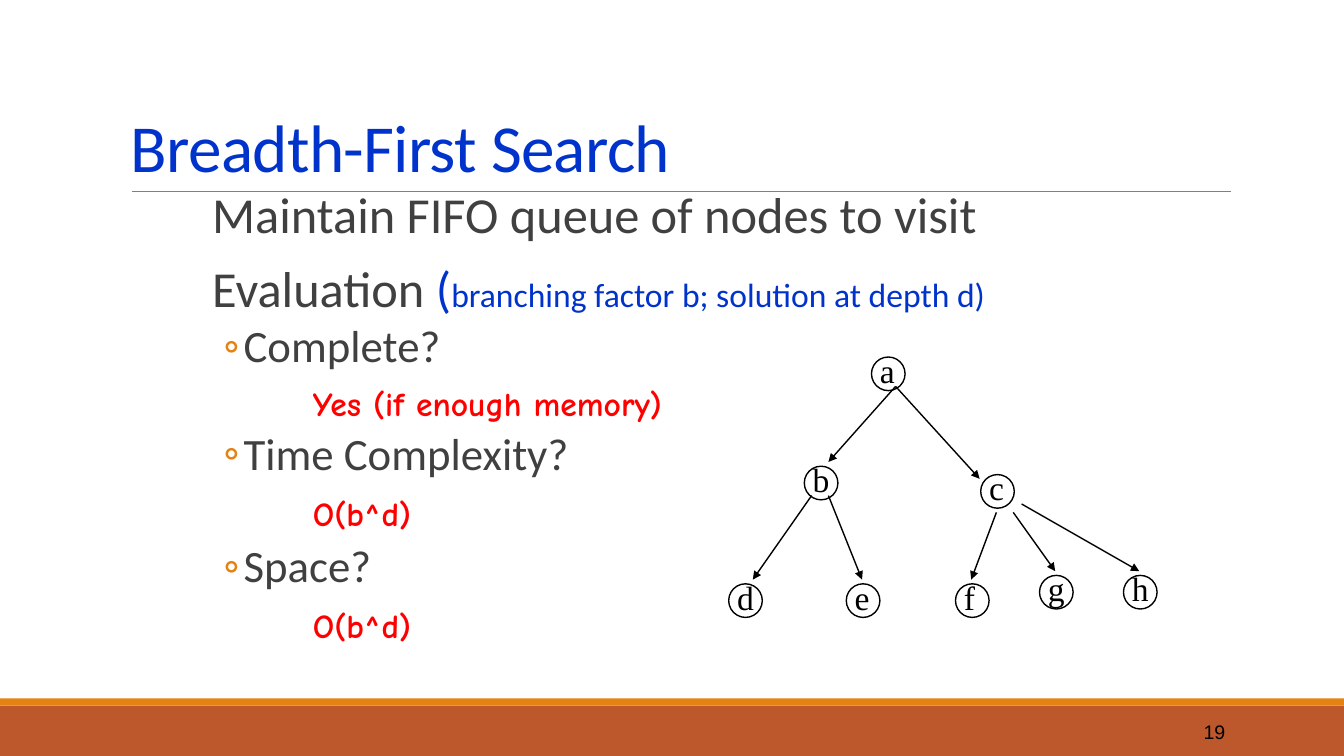
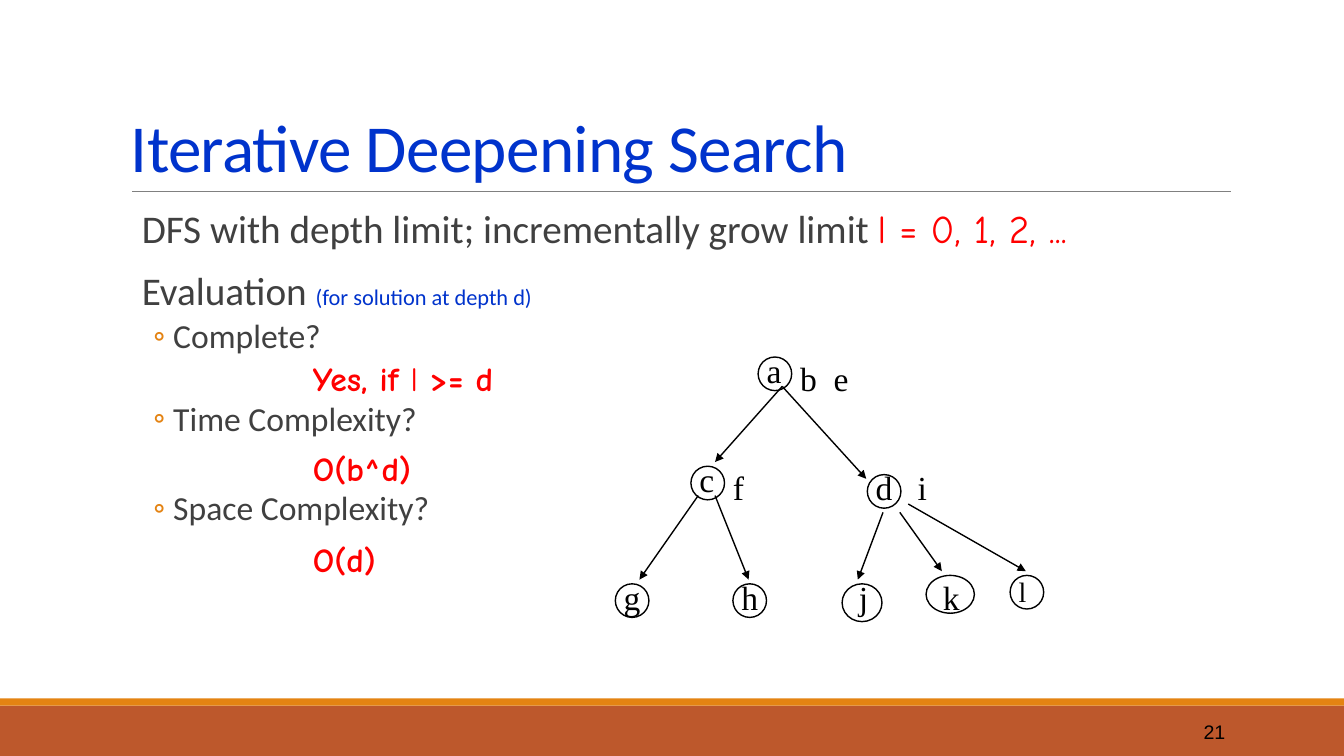
from dataclasses import dataclass

from lxml import etree
from pptx import Presentation
from pptx import util as u
from pptx.dml.color import RGBColor
from pptx.enum import shapes, text
from pptx.oxml import ns

PX = 9525


@dataclass(frozen=True)
class Theme:
    """Colours, fonts and type sizes of the deck."""
    blue: str = "0033CC"
    grey: str = "404040"
    red: str = "FF0000"
    black: str = "000000"
    rule: str = "808080"
    rust: str = "BD582C"
    orange: str = "E48312"
    main: str = "Calibri"
    hand: str = "Comic Neue"
    serif: str = "Times New Roman"
    plain: str = "Arial"
    title: int = 48
    answer: int = 24
    node: int = 24
    number: int = 14


T = Theme()
ANSWER = dict(name=T.hand, size=T.answer, color=T.red, bold=True)
SLOTS = [(136, 0), (72, 104), (240, 112), (0, 216), (112, 216),
         (216, 216), (296, 208), (376, 208)]
EDGES = [(159, 28, 95, 100), (159, 28, 239, 116), (79, 132, 23, 212),
         (95, 132, 127, 212), (255, 148, 231, 212), (271, 148, 311, 204),
         (279, 140, 391, 204)]


def px(*values):
    """Turn px lengths into EMU."""
    return [u.Emu(v * PX) for v in values]


def rgb(color):
    """Turn a hex string into a colour."""
    return RGBColor.from_string(color)


def assign(obj, values):
    """Set each attribute of obj from a dict."""
    for key, value in values.items():
        setattr(obj, key, value)


def add_run(p, words, color, size, **font):
    """Add a formatted run to a paragraph."""
    r = p.add_run()
    r.text = words
    assign(r.font, dict(font, size=u.Pt(size)))
    r.font.color.rgb = rgb(color)
    return r


def add_text(s, box, runs, inset=(10, 5), **para):
    """Add a one-paragraph text box."""
    tf = s.shapes.add_textbox(*px(*box)).text_frame
    h, v = px(*inset)
    assign(tf, dict(word_wrap=True, margin_left=h, margin_right=h,
                    margin_top=v, margin_bottom=v))
    p = tf.paragraphs[0]
    assign(p, para)
    for words, style in runs:
        add_run(p, words, **style)
    return tf


def add_shape(s, kind, box, fill=None, line=None):
    """Add a flat shape with an optional fill and outline."""
    sp = s.shapes.add_shape(kind, *px(*box))
    sp.shadow.inherit = False
    if fill:
        sp.fill.solid()
        sp.fill.fore_color.rgb = rgb(fill)
    else:
        sp.fill.background()
    if line:
        sp.line.color.rgb = rgb(line)
        sp.line.width = u.Pt(1)
    else:
        sp.line.fill.background()


def add_line(s, ends, color, width, arrow=False):
    """Add a straight line, with an arrowhead at its end if asked."""
    c = s.shapes.add_connector(shapes.MSO_CONNECTOR.STRAIGHT, *px(*ends))
    c.line.color.rgb = rgb(color)
    c.line.width = u.Pt(width)
    if arrow:
        etree.SubElement(c.line._get_or_add_ln(), ns.qn("a:tailEnd"), type="triangle")
    etree.SubElement(c._element.spPr, ns.qn("a:effectLst"))


def add_frame(prs, title, number):
    """Add a slide with bands, title, rule and slide number."""
    s = prs.slides.add_slide(prs.slide_layouts[5])
    rect = shapes.MSO_SHAPE.RECTANGLE
    add_shape(s, rect, (0, 672, 1280, 48), T.rust)
    add_shape(s, rect, (0, 665, 1280, 7), T.orange)
    add_line(s, (126, 182, 1172, 182), T.rule, 0.5)
    sp = s.shapes.title
    assign(sp, dict(zip(("left", "top", "width", "height"), px(115, 30, 1056, 152))))
    tf = sp.text_frame
    assign(tf, dict(vertical_anchor=text.MSO_ANCHOR.BOTTOM, word_wrap=True,
                    auto_size=text.MSO_AUTO_SIZE.NONE))
    p = tf.paragraphs[0]
    assign(p, dict(alignment=text.PP_ALIGN.LEFT, line_spacing=0.85))
    r = add_run(p, title, T.blue, T.title, name=T.main)
    r._r.get_or_add_rPr().set("spc", "-50")
    tf = add_text(s, (1040, 678, 137, 38),
                  [(number, dict(name=T.plain, size=T.number, color=T.black))],
                  alignment=text.PP_ALIGN.RIGHT)
    tf.vertical_anchor = text.MSO_ANCHOR.MIDDLE
    return s


def add_bullet(p):
    """Give a paragraph a hanging orange ring bullet."""
    pPr = p._p.get_or_add_pPr()
    assign_indent(pPr, 40, -19)
    clr = etree.SubElement(pPr, ns.qn("a:buClr"))
    etree.SubElement(clr, ns.qn("a:srgbClr"), val=T.orange)
    etree.SubElement(pPr, ns.qn("a:buFont"), typeface=T.main)
    etree.SubElement(pPr, ns.qn("a:buChar"), char="◦")


def assign_indent(pPr, margin, indent):
    """Set the left margin and first-line indent in px."""
    for key, value in zip(("marL", "indent"), px(margin, indent)):
        pPr.set(key, str(value))


def add_body(s, box, leads, questions, size):
    """Add lead lines, then bulleted questions with given space before."""
    tf = add_text(s, box, [], inset=(0, 5))
    for i, runs in enumerate(leads):
        p = tf.paragraphs[0] if i == 0 else tf.add_paragraph()
        assign(p, dict(line_spacing=0.9, space_before=u.Pt(12), space_after=u.Pt(2)))
        assign_indent(p._p.get_or_add_pPr(), 10, 0)
        for words, style in runs:
            add_run(p, words, **style)
    for words, gap in questions:
        p = tf.add_paragraph()
        assign(p, dict(line_spacing=0.9, space_before=u.Pt(gap), space_after=u.Pt(4)))
        add_bullet(p)
        add_run(p, words, T.grey, size, name=T.main)


def add_answers(s, left, answers):
    """Add the handwritten answers in one column."""
    for top, runs in answers:
        add_text(s, (left, top, 404, 48), runs)


def add_tree(s, left, top, labels, sizes):
    """Draw the search tree from its left and top corner."""
    for i, (x, y) in enumerate(SLOTS):
        add_shape(s, shapes.MSO_SHAPE.OVAL,
                  (left + x, top + y, *sizes.get(i, (32, 32))), line=T.black)
    for x1, y1, x2, y2 in EDGES:
        add_line(s, (left + x1, top + y1, left + x2, top + y2), T.black, 1, True)
    for letter, (x, y), size in labels:
        add_text(s, (left + x + 8, top + y - 7, 24, 38),
                 [(letter, dict(name=T.serif, size=size, color=T.black))], inset=(0, 0))


def breadth_first(prs):
    """Build the breadth-first search slide."""
    s = add_frame(prs, "Breadth-First Search", "19")
    lead = dict(name=T.main, size=36, color=T.grey)
    add_body(s, (192, 176, 880, 496),
             [[("Maintain FIFO queue of nodes to visit", lead)],
              [("Evaluation ", lead), ("(", dict(lead, color=T.blue)),
               ("branching factor b; solution at depth d)",
                dict(lead, size=24, color=T.blue))]],
             [("Complete?", 2), ("Time Complexity?", 38), ("Space?", 42)], 32)
    add_tree(s, 694, 340, [(c, at, T.node) for c, at in zip("abcdefgh", SLOTS)], {})
    add_answers(s, 288, [(360, [("Yes (if enough memory)", ANSWER)]),
                         (464, [("O(b^d)", ANSWER)]),
                         (571, [("O(b^d)", ANSWER)])])


def iterative_deepening(prs):
    """Build the iterative deepening slide."""
    s = add_frame(prs, "Iterative Deepening Search", "21")
    lead = dict(name=T.main, size=28, color=T.grey)
    add_body(s, (125, 195, 979, 400),
             [[("DFS with depth limit; incrementally grow limit ", lead),
               ("l = 0, 1, 2, ...", dict(lead, name=T.hand, color=T.red))],
              [("Evaluation ", lead),
               ("(for solution at depth d)", dict(lead, size=16, color=T.blue))]],
             [("Complete?", 2), ("Time Complexity?", 29), ("Space Complexity?", 34)], 24)
    add_answers(s, 288, [(336, [("Yes, if ", ANSWER), ("l", dict(ANSWER, bold=False)),
                                (" >= d", ANSWER)]),
                         (422, [("O(b^d)", ANSWER)]),
                         (508, [("O(d)", ANSWER)])])
    beside = [(168, 8), (200, 8), (104, 112), (280, 112), (224, 216), (304, 216)]
    labels = [(c, at, T.node) for c, at in zip("acdghbefijk", SLOTS[:5] + beside)]
    add_tree(s, 586, 340, labels + [("l", (376, 214), 20)], {5: (38, 36), 6: (46, 36)})


def main():
    """Build and save the deck."""
    prs = Presentation()
    prs.slide_width, prs.slide_height = px(1280, 720)
    breadth_first(prs)
    iterative_deepening(prs)
    prs.save("out.pptx")


if __name__ == "__main__":
    main()
